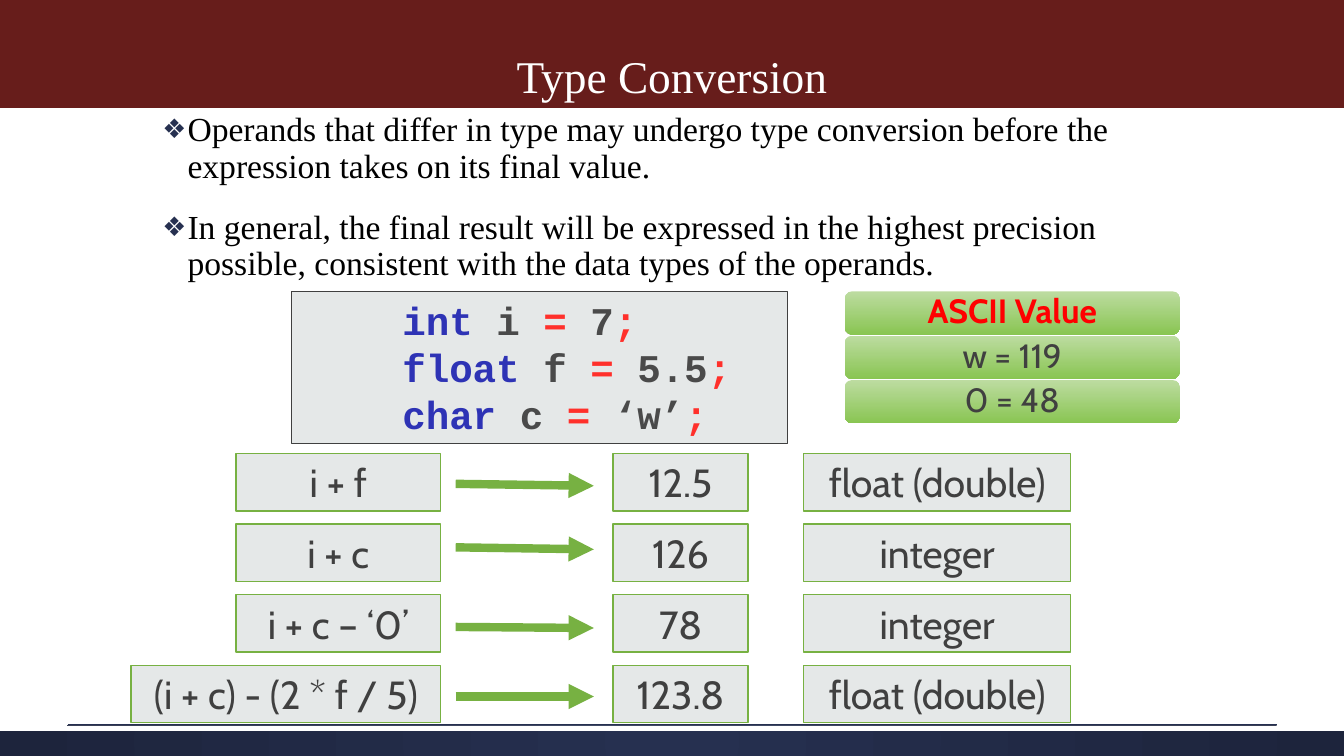
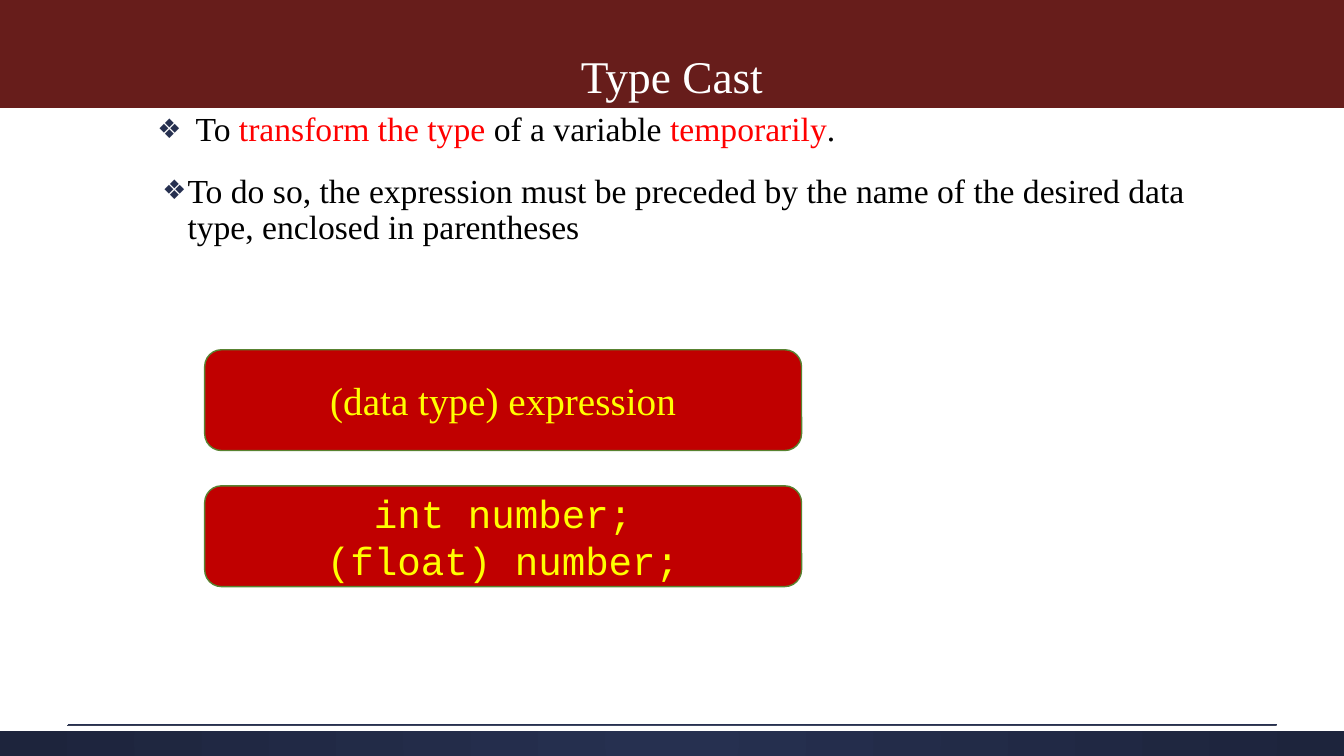
"""Build two lecture slides on type conversion and type casting in C."""
from dataclasses import dataclass

from lxml.etree import SubElement
from pptx import Presentation
from pptx.dml.color import RGBColor
from pptx.enum.shapes import MSO_CONNECTOR, MSO_SHAPE
from pptx.enum.text import MSO_ANCHOR, MSO_AUTO_SIZE, PP_ALIGN
from pptx.oxml.ns import qn
from pptx.util import Inches, Pt


@dataclass(frozen=True)
class Theme:
    maroon: str = "671D1B"
    navy: str = "263050"
    dark_navy: str = "1D243C"
    white: str = "FFFFFF"
    black: str = "000000"
    gray: str = "E5E8E8"
    charcoal: str = "404040"
    green: str = "77B142"
    dark_green: str = "588331"
    pale_green: str = "BDDCA1"
    leaf_green: str = "89C552"
    red: str = "FF0000"
    deep_red: str = "C00000"
    yellow: str = "FFFF00"
    keyword: str = "2E33B5"
    name: str = "4A4A4A"
    symbol: str = "FF302B"
    serif: str = "Times New Roman"
    sans: str = "Cabin"
    mono: str = "Courier New"
    title_size: float = 32.4
    body_size: float = 24
    box_size: float = 28


theme = Theme()


def write(frame, lines, size, font, align=PP_ALIGN.CENTER, bold=False):
    frame.word_wrap = True
    frame.auto_size = MSO_AUTO_SIZE.NONE
    for index, runs in enumerate(lines):
        paragraph = frame.add_paragraph() if index else frame.paragraphs[0]
        paragraph.alignment = align
        for text, color in runs:
            run = paragraph.add_run()
            run.text = text
            run.font.size = Pt(size)
            run.font.name = font
            run.font.bold = bold
            run.font.color.rgb = RGBColor.from_string(color)


def add_box(slide, kind, left, top, width, height, fills, outline=None, weight=1):
    box = slide.shapes.add_shape(kind, Inches(left), Inches(top), Inches(width), Inches(height))
    box.shadow.inherit = False
    if len(fills) == 1:
        box.fill.solid()
        box.fill.fore_color.rgb = RGBColor.from_string(fills[0])
    else:
        box.fill.gradient()
        box.fill.gradient_angle = 270
        for stop, color in zip(box.fill.gradient_stops, fills):
            stop.color.rgb = RGBColor.from_string(color)
    if outline:
        box.line.color.rgb = RGBColor.from_string(outline)
        box.line.width = Pt(weight)
    else:
        box.line.fill.background()
    return box


presentation = Presentation()
presentation.slide_width = Inches(13.33)
presentation.slide_height = Inches(7.5)
layout = presentation.slide_layouts[1]

topics = [
    ("Type Conversion", [
        (0.3, 0.25, 18, [("Operands that differ in type may undergo type conversion before "
                          "the expression takes on its final value.", theme.black)]),
        (0.3, 0.25, 18, [("In general, the final result will be expressed in the highest precision "
                          "possible, consistent with the data types of the operands.", theme.black)]),
    ]),
    ("Type Cast", [
        (0.38, 0.38, 8, [("To ", theme.black), ("transform the type ", theme.red),
                         ("of a variable ", theme.black), ("temporarily", theme.red),
                         (".", theme.black)]),
        (0.3, 0.25, 18, [("To do so, the expression must be preceded by the name of the desired "
                          "data type, enclosed in parentheses", theme.black)]),
    ]),
]

for heading, bullets in topics:
    slide = presentation.slides.add_slide(layout)
    title, body = slide.placeholders
    title.left, title.top, title.width, title.height = 0, 0, Inches(13.33), Inches(1.07)
    title.fill.solid()
    title.fill.fore_color.rgb = RGBColor.from_string(theme.maroon)
    title.text_frame.vertical_anchor = MSO_ANCHOR.BOTTOM
    write(title.text_frame, [[(heading, theme.white)]], theme.title_size, theme.serif)
    title.text_frame.paragraphs[0].line_spacing = 3.0

    body.left, body.top, body.width, body.height = map(Inches, (1.46, 1.07, 10.4, 6.17))
    write(body.text_frame, [runs for *_, runs in bullets], theme.body_size, theme.serif, PP_ALIGN.LEFT)
    for paragraph, (margin, hanging, before, _) in zip(body.text_frame.paragraphs, bullets):
        paragraph.line_spacing = 0.9
        paragraph.space_before = Pt(before)
        properties = paragraph.alignment is not None and paragraph._p.get_or_add_pPr()
        properties.set("marL", str(Inches(margin)))
        properties.set("indent", str(-Inches(hanging)))
        SubElement(SubElement(properties, qn("a:buClr")), qn("a:srgbClr"), val=theme.navy)
        SubElement(properties, qn("a:buSzPct"), val="80000")
        SubElement(properties, qn("a:buChar"), char="❖")

conversion, cast = presentation.slides

footer = add_box(conversion, MSO_SHAPE.RECTANGLE, 0, 7.2, 13.33, 0.3, [theme.navy, theme.dark_navy])
gradient = footer.element.spPr.find(qn("a:gradFill"))
gradient.remove(gradient.find(qn("a:lin")))
glow = SubElement(gradient, qn("a:path"), path="circle")
SubElement(glow, qn("a:fillToRect"), l="50000", t="50000", r="50000", b="50000")
footer_gap = add_box(conversion, MSO_SHAPE.RECTANGLE, 0, 7.2, 13.33, 0.05, [theme.white])
footer_rule = conversion.shapes.add_connector(
    MSO_CONNECTOR.STRAIGHT, Inches(0.67), Inches(7.19), Inches(12.67), Inches(7.19))
footer_rule.line.color.rgb = RGBColor.from_string(theme.navy)
footer_rule.line.width = Pt(0.75)
for number, part in enumerate((footer, footer_gap, footer_rule), start=20):
    part.element.xpath(".//p:cNvPr")[0].set("id", str(number))
    layout.shapes.element.append(part.element)

connectors = [footer_rule]
examples = [
    ("i + f", "12.5", "float (double)", 2.34, 4.8, 4.82),
    ("i + c", "126", "integer", 2.34, 5.43, 5.45),
    ("i + c – ‘0’", "78", "integer", 2.34, 6.22, 6.23),
    ("(i + c) - (2 * f / 5)", "123.8", "float (double)", 1.3, 6.91, 6.91),
]
for row, (expression, value, result_type, left, arrow_start, arrow_end) in enumerate(examples):
    cells = [(expression, left, 4.37 - left), (value, 6.08, 1.34), (result_type, 7.97, 2.65)]
    for text, cell_left, cell_width in cells:
        cell = add_box(conversion, MSO_SHAPE.RECTANGLE, cell_left, 4.5 + 0.7 * row,
                       cell_width, 0.57, [theme.gray], theme.green)
        write(cell.text_frame, [[(text, theme.charcoal)]], theme.box_size, theme.sans)
    arrow = conversion.shapes.add_connector(
        MSO_CONNECTOR.STRAIGHT, Inches(4.52), Inches(arrow_start), Inches(5.89), Inches(arrow_end))
    arrow.line.color.rgb = RGBColor.from_string(theme.green)
    arrow.line.width = Pt(6)
    SubElement(arrow.element.spPr.find(qn("a:ln")), qn("a:tailEnd"), type="triangle")
    connectors.append(arrow)

for connector in connectors:
    SubElement(connector.element.spPr, qn("a:effectLst"))

declarations = [("int", " i ", " 7"), ("float", " f ", " 5.5"), ("char", " c ", " ‘w’")]
code = add_box(conversion, MSO_SHAPE.RECTANGLE, 2.89, 2.89, 4.92, 1.51,
               [theme.gray], theme.charcoal, 0.5)
code.text_frame.vertical_anchor = MSO_ANCHOR.TOP
code.text_frame.margin_left = Inches(1.1)
write(code.text_frame,
      [[(keyword, theme.keyword), (variable, theme.name), ("=", theme.symbol),
        (value, theme.name), (";", theme.symbol)] for keyword, variable, value in declarations],
      theme.box_size, theme.mono, PP_ALIGN.LEFT, True)

ascii_values = [("ASCII Value", theme.red), ("w = 119", theme.charcoal), ("0 = 48", theme.charcoal)]
for row, (text, color) in enumerate(ascii_values):
    card = add_box(conversion, MSO_SHAPE.ROUNDED_RECTANGLE, 8.38, 2.89 + 0.44 * row, 3.32, 0.43,
                   [theme.pale_green, theme.leaf_green])
    card.text_frame.margin_top = card.text_frame.margin_bottom = 0
    write(card.text_frame, [[(text, color)]], theme.body_size, theme.sans, bold=row == 0)
    card.text_frame.paragraphs[0].line_spacing = 0.9

syntax_boxes = [
    (3.47, theme.serif, ["(data type) expression"]),
    (4.82, theme.mono, ["int number;", "(float) number;"]),
]
for top, font, lines in syntax_boxes:
    syntax = add_box(cast, MSO_SHAPE.ROUNDED_RECTANGLE, 2.03, top, 5.92, 1,
                     [theme.deep_red], theme.dark_green)
    write(syntax.text_frame, [[(line, theme.yellow)] for line in lines], theme.box_size, font)

presentation.save("out.pptx")
